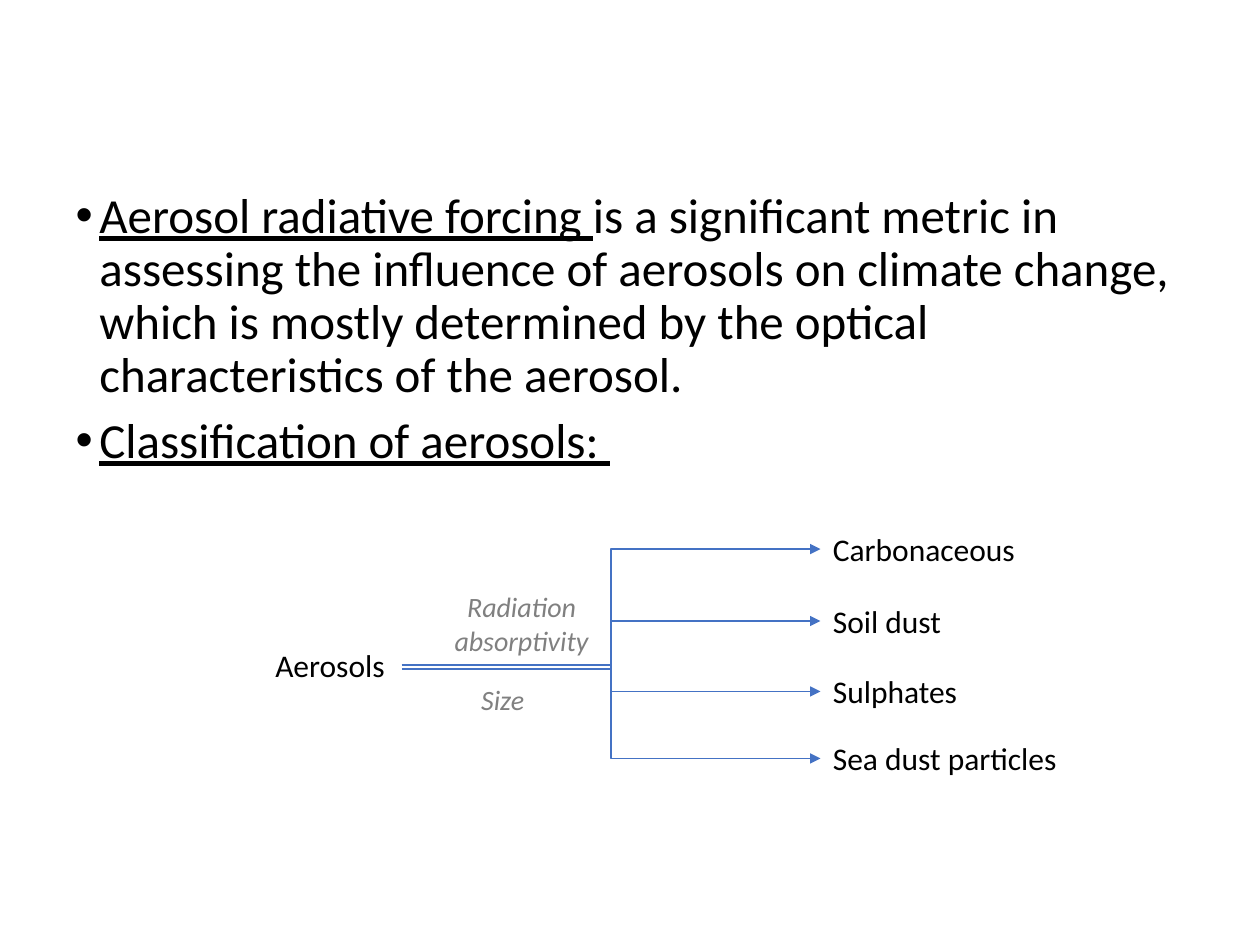
from dataclasses import dataclass

from lxml import etree
from pptx import Presentation
from pptx.dml.color import RGBColor
from pptx.enum.shapes import MSO_CONNECTOR
from pptx.enum.text import MSO_AUTO_SIZE, PP_ALIGN
from pptx.oxml.ns import qn
from pptx.util import Cm, Pt

ELBOW = MSO_CONNECTOR.ELBOW
LEFT, CENTER = PP_ALIGN.LEFT, PP_ALIGN.CENTER
TITLE_AND_CONTENT = 1


@dataclass(frozen=True)
class Theme:
    font: str = "Calibri"
    ink: RGBColor = RGBColor(0x00, 0x00, 0x00)
    muted: RGBColor = RGBColor(0x80, 0x80, 0x80)
    line: RGBColor = RGBColor(0x44, 0x72, 0xC4)
    body_size: Pt = Pt(28)
    label_size: Pt = Pt(18)
    criterion_size: Pt = Pt(16)
    line_width: Pt = Pt(1)


THEME = Theme()

# Each statement is a list of (text, underlined) pieces.
STATEMENTS = [
    [
        ("Aerosol radiative forcing ", True),
        ("is a significant metric in assessing the influence of aerosols on "
         "climate change, which is mostly determined by the optical "
         "characteristics of the aerosol.", False),
    ],
    [("Classification of aerosols: ", True)],
]

# Class name, label width, height of the stem, height of the arrow tip (cm)
CLASSES = [
    ("Carbonaceous", 4.37, 2.85, 0.51),
    ("Soil dust", 2.77, 2.85, 1.96),
    ("Sulphates", 3.1, 2.93, 3.38),
    ("Sea dust particles", 6.68, 2.85, 4.73),
]

# Criterion, top, width, height (cm)
CRITERIA = [
    ("Radiation absorptivity", 1.2, 4.37, 1.63),
    ("Size", 3.08, 3.61, 0.94),
]


def style_font(font, size, color, italic=None):
    font.name = THEME.font
    font.size = size
    font.color.rgb = color
    font.italic = italic


def set_bullet(paragraph, hang):
    properties = paragraph._p.get_or_add_pPr()
    properties.set("marL", str(hang))
    properties.set("indent", str(-hang))
    bullet = etree.Element(qn("a:buChar"), char="•")
    font_defaults = properties.find(qn("a:defRPr"))
    font_defaults.addprevious(bullet)


def add_statements(body, left, top, width, height):
    body.left, body.top, body.width, body.height = left, top, width, height
    frame = body.text_frame
    frame.auto_size = MSO_AUTO_SIZE.NONE
    for index, pieces in enumerate(STATEMENTS):
        paragraph = frame.add_paragraph() if index else frame.paragraphs[0]
        paragraph.line_spacing = 0.9
        paragraph.space_before = Pt(7.5)
        style_font(paragraph.font, THEME.body_size, THEME.ink)
        set_bullet(paragraph, Cm(0.48))
        for text, underlined in pieces:
            run = paragraph.add_run()
            run.text = text
            run.font.underline = underlined


def add_label(slide, text, left, top, width, height, size, color,
              align=LEFT, italic=None):
    frame = slide.shapes.add_textbox(left, top, width, height).text_frame
    frame.word_wrap = True
    paragraph = frame.paragraphs[0]
    paragraph.text = text
    paragraph.alignment = align
    style_font(paragraph.font, size, color, italic)


def add_branch(slide, start_x, start_y, end_x, end_y):
    branch = slide.shapes.add_connector(ELBOW, start_x, start_y, end_x, end_y)
    branch.line.color.rgb = THEME.line
    branch.line.width = THEME.line_width
    etree.SubElement(branch.line._get_or_add_ln(), qn("a:tailEnd"),
                     type="triangle")
    etree.SubElement(branch._element.spPr, qn("a:effectLst"))


def add_classification(slide, left, top, width):
    """Draw the tree from aerosols to their classes; width ends at the tips."""
    label_height = Cm(1.02)
    root_width = Cm(2.77)
    stem_x, tip_x = left + Cm(2.8), left + width

    add_label(slide, "Aerosols", left, top + Cm(2.34), root_width,
              label_height, THEME.label_size, THEME.ink)
    for name, label_width, stem_y, tip_y in CLASSES:
        add_branch(slide, stem_x, top + Cm(stem_y), tip_x, top + Cm(tip_y))
        add_label(slide, name, tip_x, top + Cm(tip_y) - label_height // 2,
                  Cm(label_width), label_height, THEME.label_size, THEME.ink)
    for name, offset, label_width, height in CRITERIA:
        add_label(slide, name, left + Cm(3.03), top + Cm(offset),
                  Cm(label_width), Cm(height), THEME.criterion_size,
                  THEME.muted, CENTER, italic=True)


def main():
    deck = Presentation()
    deck.slide_width, deck.slide_height = Cm(25.4), Cm(19.05)
    slide = deck.slides.add_slide(deck.slide_layouts[TITLE_AND_CONTENT])
    empty_title = slide.shapes.title._element
    empty_title.getparent().remove(empty_title)

    add_statements(slide.placeholders[1],
                   Cm(1.27), Cm(3.73), Cm(22.86), Cm(7.11))
    add_classification(slide, Cm(5.3), Cm(10.56), Cm(11.24))
    deck.save("out.pptx")


if __name__ == "__main__":
    main()
